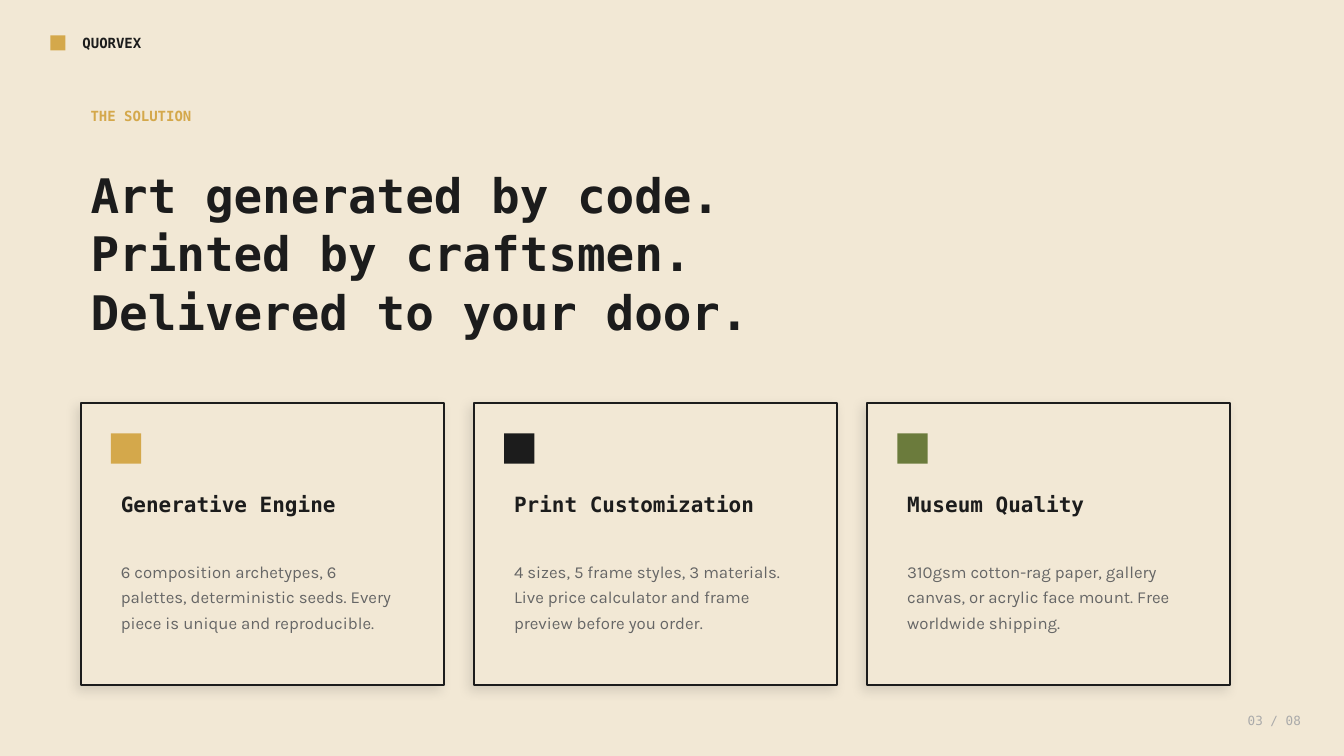
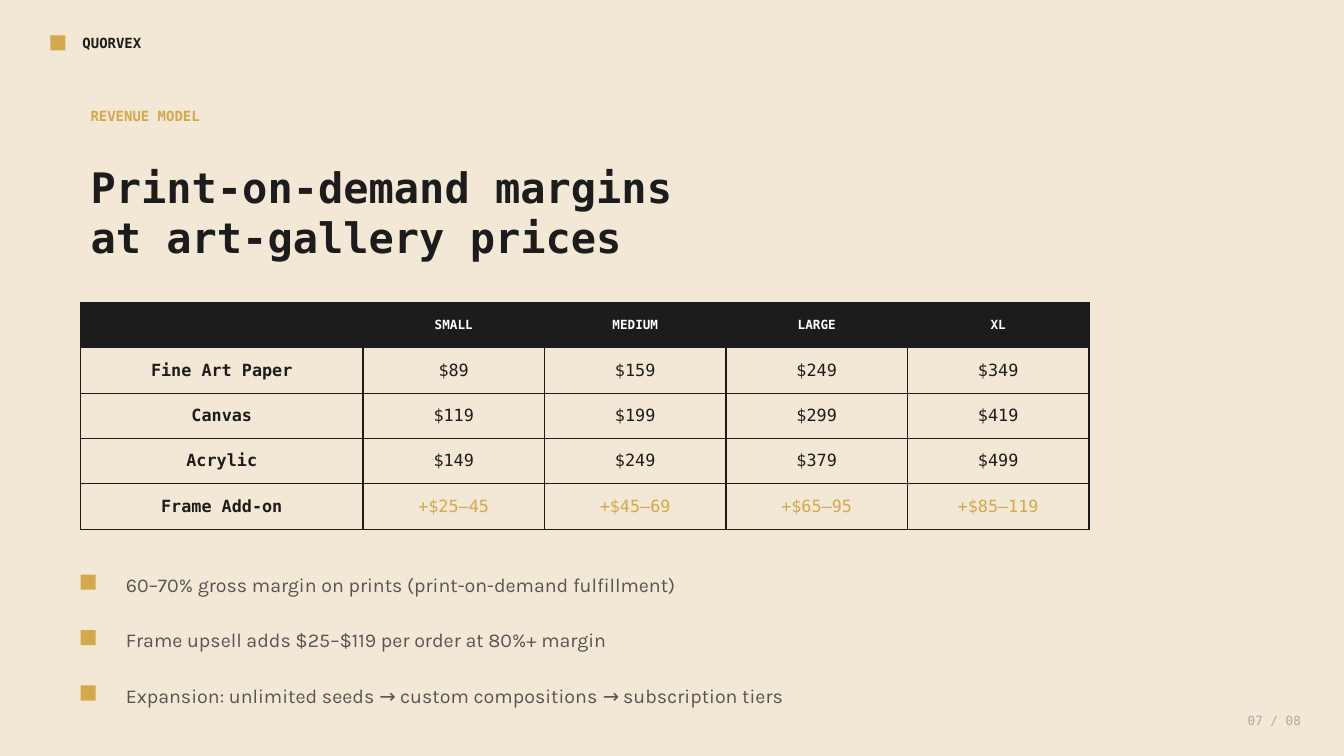
import pptx
import pptx.dml.color
import pptx.enum.shapes
import pptx.enum.text
import pptx.oxml
import pptx.oxml.ns
import pptx.util

RGBColor = pptx.dml.color.RGBColor
ALIGN = pptx.enum.text.PP_ALIGN
MIDDLE = pptx.enum.text.MSO_ANCHOR.MIDDLE
Pt = pptx.util.Pt

CREAM = RGBColor(0xF2, 0xE8, 0xD5)
INK = RGBColor(0x1C, 0x1C, 0x1C)
GOLD = RGBColor(0xD4, 0xA8, 0x4B)
OLIVE = RGBColor(0x6B, 0x7B, 0x3C)
WHITE = RGBColor(0xFF, 0xFF, 0xFF)
BODY_GREY = RGBColor(0x66, 0x66, 0x66)
BULLET_GREY = RGBColor(0x55, 0x55, 0x55)
PAGE_GREY = RGBColor(0xAA, 0xAA, 0xAA)

MONO = "DejaVu Sans Mono"
SANS = "Karla"
EMU_PER_PX = 9144  # 100 px to the inch
LEFT = 80
PAGES = 8


def px(n):
    return pptx.util.Emu(n * EMU_PER_PX)


def xml(source):
    return pptx.oxml.parse_xml(source.replace(">", " " + pptx.oxml.ns.nsdecls("a") + ">", 1))


class Deck:
    def __init__(self):
        self.prs = pptx.Presentation()
        self.prs.slide_width, self.prs.slide_height = px(1333), px(750)
        self.s = None

    def slide(self, page, label, title, size, leading, height):
        """Start a slide with the shared header, title and page number."""
        self.s = self.prs.slides.add_slide(self.prs.slide_layouts[6])
        fill = self.s.background.fill
        fill.solid()
        fill.fore_color.rgb = CREAM
        self.square(50, 35, 15, GOLD)
        self.text(72, 28, 200, 30, "QUORVEX", 10, INK, bold=True)
        self.text(LEFT, 100, 400, 30, label, 10, GOLD, bold=True)
        self.text(LEFT, 150, 1000, height, title, size, INK, bold=True, leading=leading)
        self.text(1150, 700, 150, 30, f"{page:02d} / {PAGES:02d}", 9, PAGE_GREY,
                  align=ALIGN.RIGHT)

    def style(self, tf, size, color, font=MONO, bold=False, align=None, leading=None):
        for p in tf.paragraphs:
            p.alignment = align
            if leading:
                p.line_spacing = Pt(leading)
            for r in p.runs:
                r.font.name, r.font.size, r.font.bold = font, Pt(size), bold
                r.font.color.rgb = color

    def text(self, x, y, w, h, text, size, color, **look):
        tf = self.s.shapes.add_textbox(px(x), px(y), px(w), px(h)).text_frame
        tf.word_wrap = True
        tf.vertical_anchor = MIDDLE
        tf.text = text
        self.style(tf, size, color, **look)

    def rect(self, x, y, w, h, color):
        sp = self.s.shapes.add_shape(pptx.enum.shapes.MSO_SHAPE.RECTANGLE,
                                     px(x), px(y), px(w), px(h))
        sp.shadow.inherit = False
        sp.fill.solid()
        sp.fill.fore_color.rgb = color
        sp.line.fill.background()
        return sp

    def square(self, x, y, side, color):
        self.rect(x, y, side, side, color)

    def card(self, x, y, color, heading, body):
        sp = self.rect(x, y, 360, 280, CREAM)
        sp.line.color.rgb = INK
        sp.line.width = Pt(1.5)
        effects = sp._element.spPr.find(pptx.oxml.ns.qn("a:effectLst"))
        effects.append(xml(
            f'<a:outerShdw blurRad="{Pt(8)}" dist="{Pt(4)}" dir="8100000" algn="bl" '
            f'rotWithShape="0"><a:srgbClr val="{INK}"><a:alpha val="12000"/>'
            '</a:srgbClr></a:outerShdw>'))
        self.square(x + 30, y + 30, 30, color)
        self.text(x + 30, y + 80, 300, 40, heading, 15, INK, bold=True)
        self.text(x + 30, y + 130, 300, 120, body, 12, BODY_GREY, font=SANS, leading=18)

    def bullet(self, y, text):
        self.square(LEFT, y, 15, GOLD)
        self.text(LEFT + 35, y - 15, 900, 50, text, 14, BULLET_GREY, font=SANS)

    def cell(self, cell, text, size, color, bold, fill=None):
        cell.text = text
        cell.vertical_anchor = MIDDLE
        self.style(cell.text_frame, size, color, bold=bold, align=ALIGN.CENTER)
        if fill is None:
            cell.fill.background()
        else:
            cell.fill.solid()
            cell.fill.fore_color.rgb = fill
        tcPr = cell._tc.get_or_add_tcPr()
        for i, side in enumerate("LRTB"):  # borders precede the fill
            tcPr.insert(i, xml(f'<a:ln{side} w="{Pt(1)}"><a:solidFill><a:srgbClr val="{INK}"/>'
                               f'</a:solidFill></a:ln{side}>'))

    def table(self, x, y, widths, row_height, rows):
        """Dark header row, bold first column, gold last row."""
        table = self.s.shapes.add_table(len(rows), len(widths), px(x), px(y), px(sum(widths)),
                                        px(row_height * len(rows))).table
        table.first_row = table.horz_banding = False
        for column, width in zip(table.columns, widths):
            column.width = px(width)
        for i, row in enumerate(rows):
            table.rows[i].height = px(row_height)
            for j, value in enumerate(row):
                cell = table.cell(i, j)
                if i == 0:
                    self.cell(cell, value, 9, WHITE, True, INK)
                else:
                    add_on = i == len(rows) - 1 and j > 0
                    self.cell(cell, value, 12, GOLD if add_on else INK, j == 0)


CARDS = [
    (GOLD, "Generative Engine",
     "6 composition archetypes, 6 palettes, deterministic seeds. "
     "Every piece is unique and reproducible."),
    (INK, "Print Customization",
     "4 sizes, 5 frame styles, 3 materials. "
     "Live price calculator and frame preview before you order."),
    (OLIVE, "Museum Quality",
     "310gsm cotton-rag paper, gallery canvas, or acrylic face mount. "
     "Free worldwide shipping."),
]
PRICES = [
    ("", "SMALL", "MEDIUM", "LARGE", "XL"),
    ("Fine Art Paper", "$89", "$159", "$249", "$349"),
    ("Canvas", "$119", "$199", "$299", "$419"),
    ("Acrylic", "$149", "$249", "$379", "$499"),
    ("Frame Add-on", "+$25–45", "+$45–69", "+$65–95", "+$85–119"),
]
BULLETS = [
    "60–70% gross margin on prints (print-on-demand fulfillment)",
    "Frame upsell adds $25–$119 per order at 80%+ margin",
    "Expansion: unlimited seeds → custom compositions → subscription tiers",
]


def main():
    deck = Deck()

    # Solution: three cards
    deck.slide(3, "THE SOLUTION", "Art generated by code.\nPrinted by craftsmen.\n"
               "Delivered to your door.", size=34, leading=42, height=200)
    for i, card in enumerate(CARDS):
        deck.card(LEFT + 390 * i, 400, *card)

    # Revenue: price table and margin notes
    deck.slide(7, "REVENUE MODEL", "Print-on-demand margins\nat art-gallery prices",
               size=30, leading=36, height=120)
    deck.table(LEFT, 300, [280] + [180] * 4, 45, PRICES)
    for i, text in enumerate(BULLETS):
        deck.bullet(570 + 55 * i, text)

    deck.prs.save("out.pptx")


if __name__ == "__main__":
    main()
